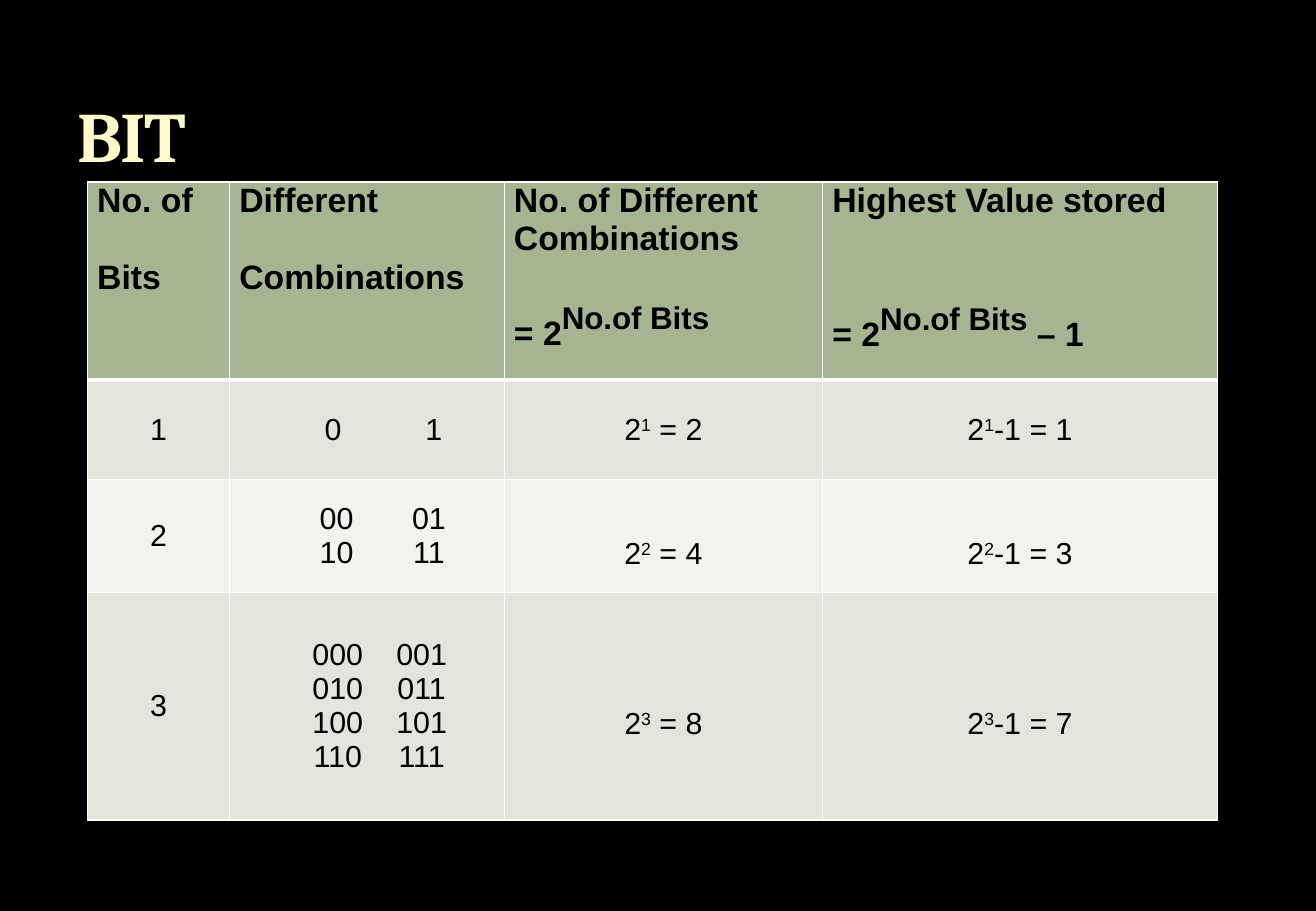
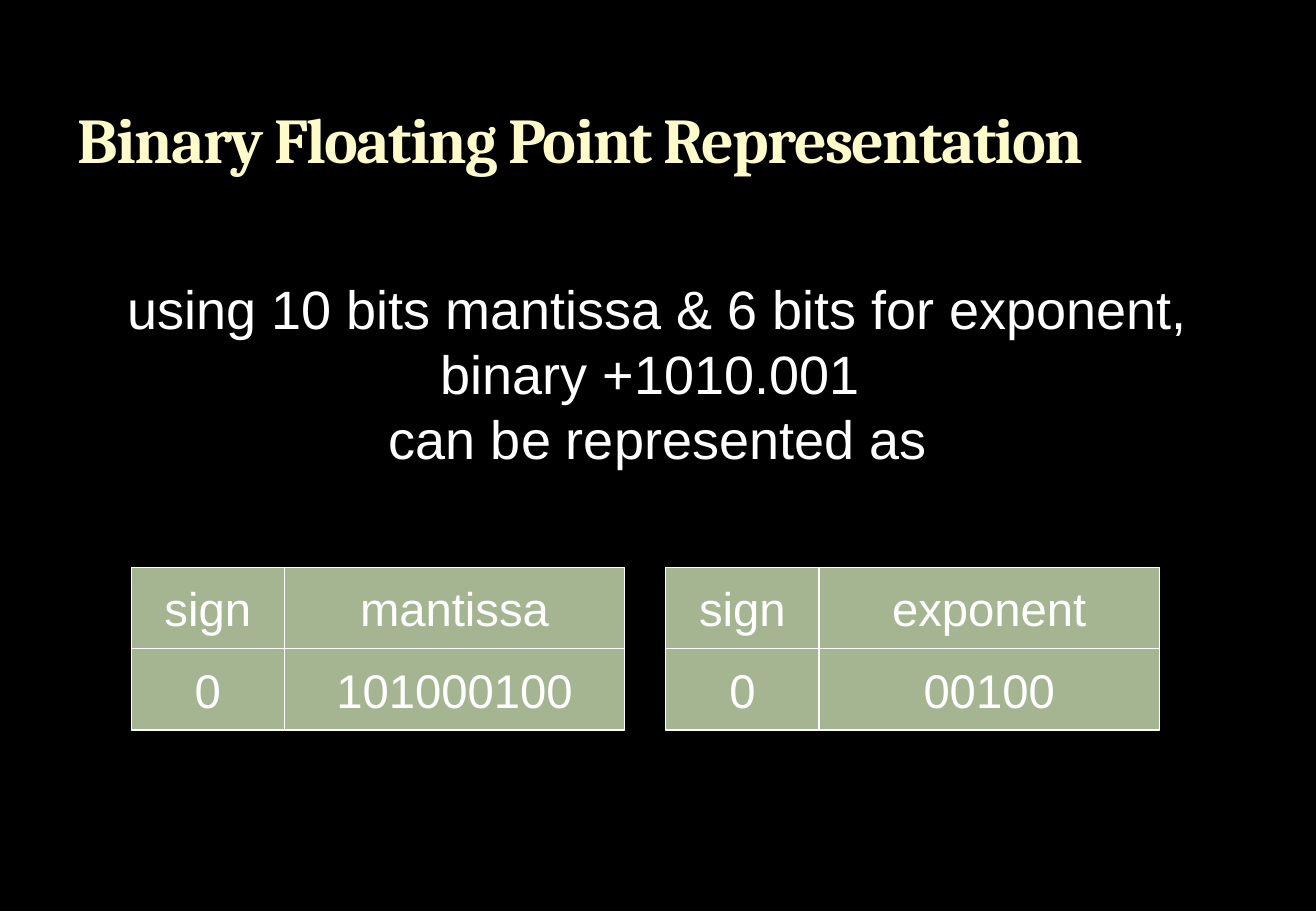
"""Build two slides on bits and binary floating point representation."""
from lxml import etree
from pptx import Presentation
from pptx.dml.color import RGBColor
from pptx.enum import shapes, text
from pptx.oxml import ns
from pptx.util import Inches, Pt

BLACK = RGBColor(0x00, 0x00, 0x00)
WHITE = RGBColor(0xFF, 0xFF, 0xFF)
CREAM = RGBColor(0xFE, 0xFA, 0xC9)
OLIVE = RGBColor(0x3C, 0x44, 0x22)
SAGE = RGBColor(0xA5, 0xB5, 0x92)
BANDS = (RGBColor(0xE1, 0xE5, 0xDC), RGBColor(0xF0, 0xF3, 0xEE))

TITLE = {"name": "Cambria", "size": Pt(42), "bold": True}
HEADER = {"name": "Arial", "size": Pt(20), "bold": True}
BODY = {"name": "Arial", "size": Pt(18), "bold": False}
STATEMENT = {"name": "Arial", "size": Pt(32)}
FIELD = {"name": "Arial", "size": Pt(28)}
HEADER_POWER = Pt(32)
HEADER_LINE, BODY_LINE = Pt(23), Pt(20.7)

COLUMN_WIDTHS = (1.17, 2.26, 2.62, 3.25)
ROW_HEIGHTS = (1.63, 0.82, 0.93, 1.87)
HEADERS = (
    (("No. of",), ("Bits",), 1),
    (("Different",), ("Combinations",), 1),
    (("No. of Different Combinations",), ("= 2", "No.of Bits"), 1),
    (("Highest Value stored",), ("= 2", "No.of Bits", " – 1"), 2),
)
COMBINATIONS = (
    (("0", "1"),),
    (("00", "01"), ("10", "11")),
    (("000", "001"), ("010", "011"), ("100", "101"), ("110", "111")),
)
TAB_STOPS = ((0.77, 1.6), (0.8, 1.56), (0.81, 1.5))

FIELDS = ((("sign", "mantissa"), ("sign", "exponent")),
          (("0", "101000100"), ("0", "00100")))
FIELD_WIDTHS = (1.26, 2.8)
FIELD_LEFT, FIELD_TOP, FIELD_HEIGHT, PAIR_PITCH = 1.08, 4.67, 0.67, 4.4


def add_solid(parent, color, alpha=None):
    """Append a solid fill to an XML element."""
    fill = etree.SubElement(parent, ns.qn("a:solidFill"))
    value = etree.SubElement(fill, ns.qn("a:srgbClr"), val=str(color))
    if alpha:
        etree.SubElement(value, ns.qn("a:alpha"), val=str(alpha * 1000))


def write(para, spans, style, color, align=text.PP_ALIGN.LEFT, power_size=None):
    """Write runs into a paragraph, every second one as a superscript."""
    para.alignment = align
    for index, words in enumerate(spans):
        span = para.add_run()
        span.text = words
        for name, value in style.items():
            setattr(span.font, name, value)
        span.font.color.rgb = color
        if index % 2:
            span.font.size = power_size or style["size"]
            span.font._element.set("baseline", "30000")


def add_page(deck, title, size):
    """Add a black page with its title."""
    page = deck.slides.add_slide(deck.slide_layouts[6])
    page.background.fill.solid()
    page.background.fill.fore_color.rgb = BLACK
    frame = add_box(page, 0.54, 0.17, 9.75, 1.33)
    frame.vertical_anchor = text.MSO_ANCHOR.BOTTOM
    write(frame.paragraphs[0], (title,), {**TITLE, "size": Pt(size)}, CREAM)
    props = frame.paragraphs[0].runs[0].font._element
    props.set("spc", "-100")
    outline = etree.Element(ns.qn("a:ln"), w=str(Pt(0.25)))
    add_solid(outline, OLIVE, 25)
    props.insert(0, outline)
    return page


def add_box(page, *place):
    """Add a wrapping text box and return its text frame."""
    frame = page.shapes.add_textbox(*map(Inches, place)).text_frame
    frame.word_wrap = True
    return frame


def format_cell(cell, fill, top=1, bottom=1):
    """Give a table cell its borders, fill and margins."""
    props = cell._tc.get_or_add_tcPr()
    for side, width in (("L", 1), ("R", 1), ("T", top), ("B", bottom)):
        line = etree.SubElement(props, ns.qn("a:ln" + side), w=str(Pt(width)))
        add_solid(line, WHITE)
    cell.fill.solid()
    cell.fill.fore_color.rgb = fill
    cell.margin_left = cell.margin_right = Inches(0.08)
    cell.margin_top = cell.margin_bottom = 0


def add_header_cell(cell, first, second, gap_lines):
    """Fill a heading cell with two spaced paragraphs."""
    format_cell(cell, SAGE, bottom=3)
    write(cell.text_frame.paragraphs[0], first, HEADER, BLACK)
    para = cell.text_frame.add_paragraph()
    para.space_before = HEADER_LINE * gap_lines
    write(para, second, HEADER, BLACK, power_size=HEADER_POWER)


def write_combinations(cell, pairs, stops):
    """List pairs of bit patterns at centred tab stops."""
    frame = cell.text_frame
    for index, pair in enumerate(pairs):
        para = frame.add_paragraph() if index else frame.paragraphs[0]
        write(para, ("\t" + "\t".join(pair),), BODY, BLACK)
        tabs = etree.SubElement(para._p.get_or_add_pPr(), ns.qn("a:tabLst"))
        for stop in stops:
            etree.SubElement(tabs, ns.qn("a:tab"), pos=str(Inches(stop)), algn="ctr")


def add_bit_table(page):
    """Add the table of bits, combinations and highest values."""
    place = map(Inches, (0.72, 1.5, sum(COLUMN_WIDTHS), sum(ROW_HEIGHTS)))
    table = page.shapes.add_table(len(ROW_HEIGHTS), len(COLUMN_WIDTHS), *place).table
    table.first_row = table.horz_banding = False
    for column, width in zip(table.columns, COLUMN_WIDTHS):
        column.width = Inches(width)
    for row, height in zip(table.rows, ROW_HEIGHTS):
        row.height = Inches(height)
    for column, header in enumerate(HEADERS):
        add_header_cell(table.cell(0, column), *header)
    for bits, (pairs, stops) in enumerate(zip(COMBINATIONS, TAB_STOPS), 1):
        cells = table.rows[bits].cells
        for cell in cells:
            format_cell(cell, BANDS[(bits - 1) % 2], top=3 if bits == 1 else 1)
            cell.vertical_anchor = text.MSO_ANCHOR.MIDDLE
        count = 2 ** bits
        formulas = {0: (str(bits),),
                    2: ("2", str(bits), f" = {count}"),
                    3: ("2", str(bits), f"-1 = {count - 1}")}
        for column, spans in formulas.items():
            frame = cells[column].text_frame
            write(frame.paragraphs[0], spans, BODY, BLACK, text.PP_ALIGN.CENTER)
            if column and bits > 1:
                cells[column].margin_top = BODY_LINE
        write_combinations(cells[1], pairs, stops)


def add_field(group, words, *place):
    """Add one labelled box of the number layout."""
    box = group.shapes.add_shape(shapes.MSO_SHAPE.RECTANGLE, *map(Inches, place))
    box.shadow.inherit = False
    box.fill.solid()
    box.fill.fore_color.rgb = SAGE
    box.line.color.rgb = WHITE
    box.line.width = Pt(0.75)
    box.text_frame.word_wrap = False
    box.text_frame.vertical_anchor = text.MSO_ANCHOR.MIDDLE
    write(box.text_frame.paragraphs[0], (words,), FIELD, WHITE, text.PP_ALIGN.CENTER)


def add_number_layout(page):
    """Add the rows of sign, mantissa and exponent boxes."""
    for row, pairs in enumerate(FIELDS):
        group = page.shapes.add_group_shape()
        top = FIELD_TOP + row * FIELD_HEIGHT
        for index, pair in enumerate(pairs):
            left = FIELD_LEFT + index * PAIR_PITCH
            for words, width in zip(pair, FIELD_WIDTHS):
                add_field(group, words, left, top, width, FIELD_HEIGHT)
                left += width


def add_statement(page):
    """Add the centred statement of the example."""
    frame = add_box(page, 0.81, 2.22, 9.21, 1.72)
    lines = ("using 10 bits mantissa & 6 bits for exponent, binary +1010.001 ",
             "can be represented as")
    for para, words in zip((frame.paragraphs[0], frame.add_paragraph()), lines):
        write(para, (words,), STATEMENT, WHITE, text.PP_ALIGN.CENTER)


def main():
    """Build and save the deck."""
    deck = Presentation()
    deck.slide_width, deck.slide_height = Inches(10.83), Inches(7.5)
    add_bit_table(add_page(deck, "BIT", 42))
    page = add_page(deck, "Binary Floating Point Representation", 37.8)
    add_statement(page)
    add_number_layout(page)
    deck.save("out.pptx")


if __name__ == "__main__":
    main()
